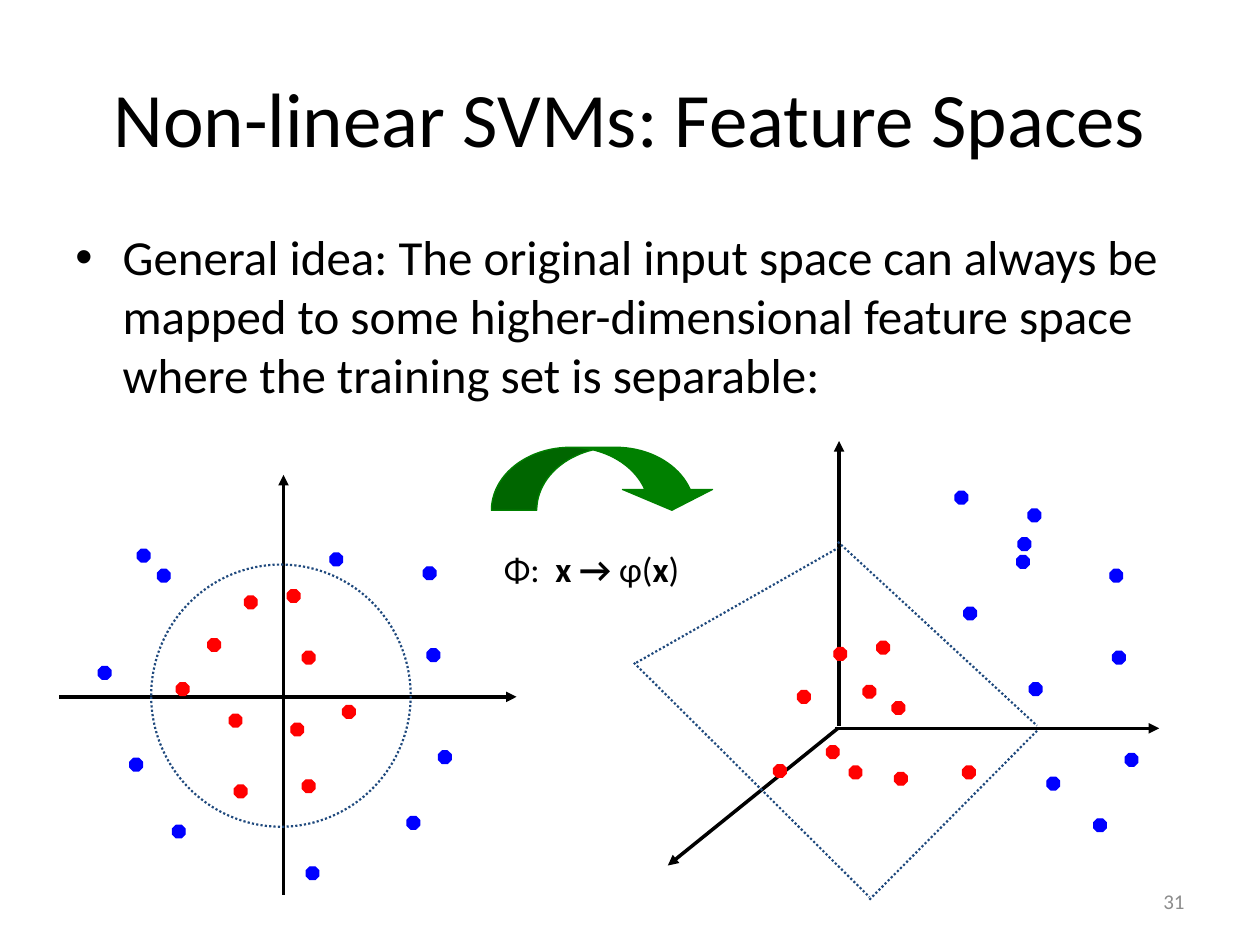
"""Build the slide on non-linear SVMs and feature spaces."""
from lxml import etree
from pptx import Presentation
from pptx import util as u
from pptx.dml.color import RGBColor
from pptx.enum import dml, shapes, text
from pptx.oxml.ns import qn


def paint(fmt, color):
    fmt.solid()
    fmt.fore_color.rgb = RGBColor.from_string(color)


def add_text(box, parts, size, color="000000", align=text.PP_ALIGN.LEFT,
             anchor=text.MSO_ANCHOR.TOP):
    tf = s.shapes.add_textbox(*map(u.Pt, box)).text_frame
    tf.word_wrap = True
    tf.vertical_anchor = anchor
    p = tf.paragraphs[0]
    p.alignment = align
    for content, bold in parts:
        r = p.add_run()
        r.text = content
        r.font.name = "Calibri"
        r.font.size = u.Pt(size)
        r.font.bold = bold
        paint(r.font.fill, color)
    return p


prs = Presentation()
prs.slide_width, prs.slide_height = u.Pt(720), u.Pt(540)
s = prs.slides.add_slide(prs.slide_layouts[6])

BLACK, RED, BLUE, NAVY, GREEN = "000000", "FF0000", "0000FF", "1F497D", "008000"
DOT = 7.2

add_text((36, 21.6, 648, 90), [("Non-linear SVMs: Feature Spaces", False)], 44,
         align=text.PP_ALIGN.CENTER, anchor=text.MSO_ANCHOR.MIDDLE)

idea = ("General idea: The original input space can always be mapped to some "
        "higher-dimensional feature space where the training set is separable:")
p = add_text((36, 126, 648, 356.4), [(idea, False)], 28)
pPr = p._p.get_or_add_pPr()
pPr.set("marL", str(u.Pt(27)))
pPr.set("indent", str(-u.Pt(27)))
etree.SubElement(pPr, qn("a:buFont"), typeface="Arial")
etree.SubElement(pPr, qn("a:buChar"), char="•")

add_text((516.2, 500.4, 167.8, 28.8), [("31", False)], 12, "8C8C8C",
         text.PP_ALIGN.RIGHT, text.MSO_ANCHOR.MIDDLE)

axes = [
    (162, 511.2, 162, 271.4),
    (33.8, 398.2, 295.2, 398.2),
    (479.5, 414.7, 479.5, 252),
    (477.4, 416.2, 662.4, 416.2),
    (478.8, 416.2, 381.6, 494.6),
]
plane_edges = [
    (478.8, 309.6, 592.6, 414.7),
    (496.8, 514.1, 592.6, 417.6),
    (363.6, 378.7, 478.8, 313.2),
    (362.2, 378.7, 496.8, 512.6),
]
for ends in axes + plane_edges:
    sp = s.shapes.add_connector(shapes.MSO_CONNECTOR.STRAIGHT, *map(u.Pt, ends))
    is_axis = ends in axes
    paint(sp.line.fill, BLACK if is_axis else NAVY)
    sp.line.width = u.Pt(2 if is_axis else 1.25)
    if is_axis:
        etree.SubElement(sp.line._get_or_add_ln(), qn("a:tailEnd"), type="triangle")
    else:
        sp.line.dash_style = dml.MSO_LINE.ROUND_DOT
    etree.SubElement(sp._element.spPr, qn("a:effectLst"))

input_inner = [
    (164.2, 337), (118.8, 365), (131, 408.2), (172.8, 445.7), (139.7, 340.6),
    (100.8, 390.2), (133.9, 448.6), (172.8, 372.2), (195.8, 403.2), (166.3, 413.3),
]
input_outer = [
    (244.1, 370.8), (232.6, 466.6), (56.2, 380.9), (175, 495.4), (250.6, 429.1),
    (98.6, 471.6), (74.2, 433.4), (78.5, 313.9), (188.6, 316.1), (90, 325.4),
    (241.9, 324),
]
feature_inner = [
    (501.1, 366.5), (455.8, 394.6), (485.3, 437.8), (550.1, 437.8), (476.6, 370.1),
    (493.2, 391.7), (511.2, 441.4), (509.8, 401), (472.3, 426.2), (442.1, 437),
]
feature_outer = [
    (635.8, 372.2), (625, 468), (587.5, 290.9), (588.2, 390.2), (643, 430.6),
    (550.8, 347), (598.3, 444.2), (581.8, 307.4), (581, 317.5), (545.8, 280.8),
    (634.3, 325.4),
]
for color, points in ((RED, input_inner + feature_inner),
                      (BLUE, input_outer + feature_outer)):
    for x, y in points:
        sp = s.shapes.add_shape(shapes.MSO_SHAPE.OCTAGON,
                                *map(u.Pt, (x, y, DOT, DOT)))
        sp.shadow.inherit = False
        sp.adjustments[0] = 0.29
        paint(sp.fill, color)
        paint(sp.line.fill, color)
        sp.line.width = u.Pt(0.75)

sp = s.shapes.add_shape(shapes.MSO_SHAPE.OVAL,
                        *map(u.Pt, (86.4, 322.6, 148.3, 149.8)))
sp.shadow.inherit = False
sp.fill.background()
paint(sp.line.fill, NAVY)
sp.line.width = u.Pt(1.25)
sp.line.dash_style = dml.MSO_LINE.ROUND_DOT

sp = s.shapes.add_shape(shapes.MSO_SHAPE.CURVED_DOWN_ARROW,
                        *map(u.Pt, (280.8, 255.6, 128.9, 36)))
sp.shadow.inherit = False
for i, value in enumerate((0.72, 1.43, 0.33)):
    sp.adjustments[i] = value
paint(sp.fill, GREEN)
paint(sp.line.fill, GREEN)
sp.line.width = u.Pt(0.75)

mapping = [("Φ:\t", False), ("x → ", True), ("φ(", False), ("x", True), (")", False)]
p = add_text((280.8, 309.6, 149.8, 31), mapping, 20)
tabs = etree.SubElement(p._p.get_or_add_pPr(), qn("a:tabLst"))
etree.SubElement(tabs, qn("a:tab"), pos=str(u.Pt(29.5)), algn="l")

prs.save("out.pptx")
